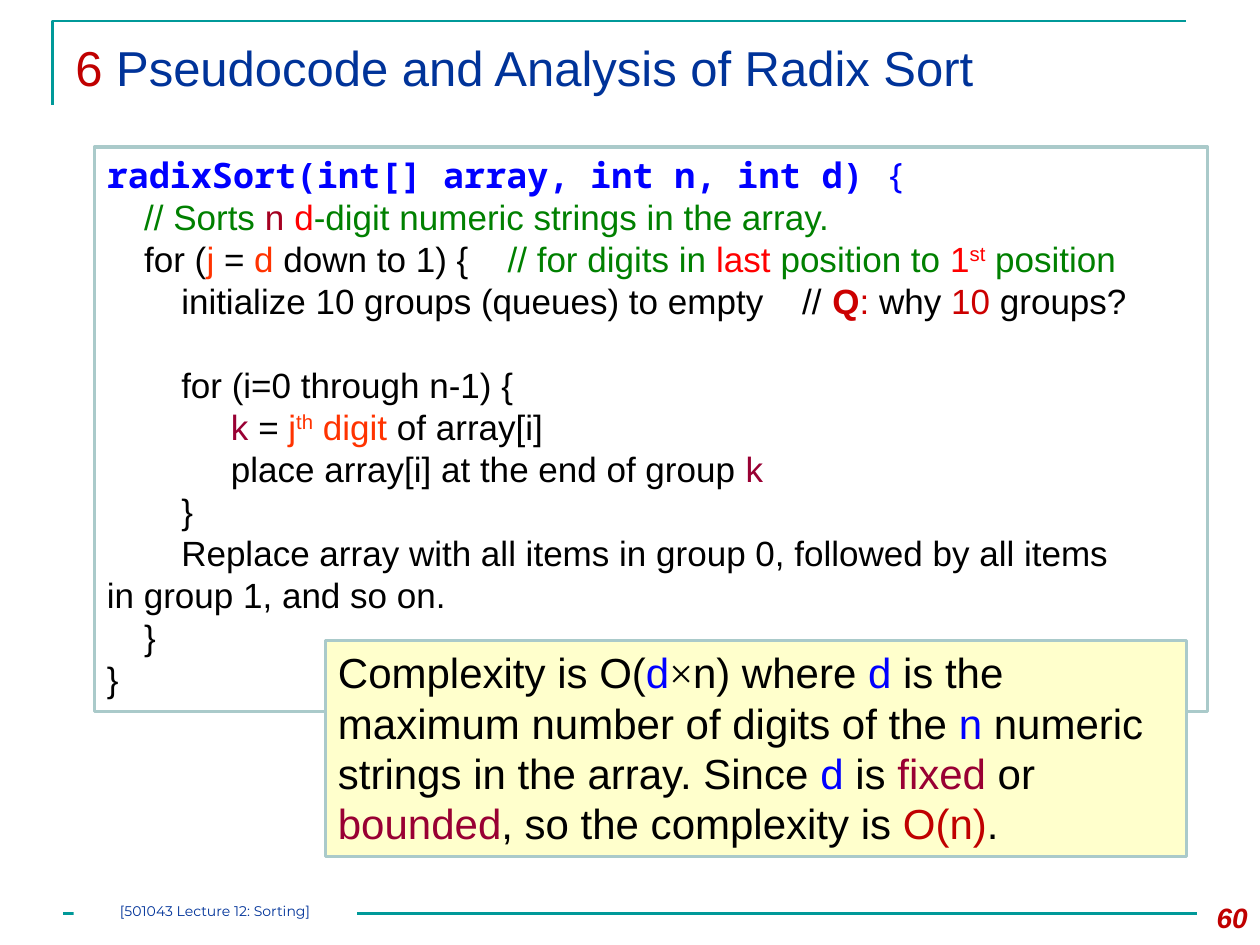
from lxml.etree import SubElement
from pptx import Presentation
from pptx.dml.color import RGBColor
from pptx.enum.shapes import MSO_CONNECTOR, MSO_SHAPE
from pptx.enum.text import MSO_ANCHOR, PP_ALIGN
from pptx.oxml.ns import qn
from pptx.util import Pt

COLORS = {
    "black": "000000", "white": "FFFFFF", "cream": "FFFFCC", "teal": "009999",
    "border": "AACACA", "navy": "003399", "blue": "0000FF", "green": "008000",
    "brick": "C00000", "crimson": "CC0000", "maroon": "A50021", "wine": "990033",
    "red": "FF0000", "orange": "FF3300",
}

TITLE = [("6 ", "brick"), ("Pseudocode and Analysis of Radix Sort", "navy")]
PAGE_NUMBER = [("60", "brick", "bold italic")]
FOOTER = [("[501043 Lecture 12: Sorting]", "navy")]
CODE = [
    [("radixSort(int[] array, int n, int d) ", "blue", "bold mono"), ("{", "blue", "mono")],
    [("\t// Sorts ", "green"), ("n ", "maroon"), ("d", "red"),
     ("-digit numeric strings in the array.", "green")],
    [("\tfor (", "black"), ("j ", "orange"), ("= ", "black"), ("d", "orange"),
     (" down to 1) {    ", "black"), ("// for digits in ", "green"), ("last ", "red"),
     ("position to ", "green"), ("1", "red"), ("st", "red", "super"), (" position", "green")],
    [("\t\tinitialize 10 groups (queues) to empty    // ", "black"), ("Q", "crimson", "bold"),
     (":", "crimson"), (" why ", "black"), ("10", "crimson"), (" groups?", "black")],
    [("\t\tfor (i=0 through n-1) {", "black")],
    [("\t\t\tk ", "wine"), ("= ", "black"), ("j", "orange"), ("th", "orange", "super"),
     (" digit", "orange"), (" of array[i]", "black")],
    [("\t\t\tplace array[i] at the end of group ", "black"), ("k", "wine")],
    [("\t\t}", "black")],
    [("\t\tReplace array with all items in group 0, followed by all items "
      "\t\tin group 1, and so on.", "black")],
    [("\t}", "black")],
    [("}", "black")],
]
INNER_LOOP = 4
COMPLEXITY = [
    ("Complexity is O(", "black"), ("d", "blue"), ("×", "black", "serif"),
    ("n) where ", "black"), ("d", "blue"),
    (" is the maximum number of digits of the ", "black"), ("n", "blue"),
    (" numeric strings in the array. Since ", "black"), ("d", "blue"), (" is ", "black"),
    ("fixed", "wine"), (" or ", "black"), ("bounded", "wine"),
    (", so the complexity is ", "black"), ("O(n)", "brick"), (".", "black"),
]
TAB_STOPS = [21.3, 42.5, 70.9, 92.1, 113.4]
FONTS = {"mono": "Noto Sans Mono", "serif": "Times New Roman"}


def color(name):
    return RGBColor.from_string(COLORS[name])


def draw_line(line, width, name):
    line.color.rgb = color(name)
    line.width = Pt(width)


def add_panel(page, bounds, fill, border=None):
    panel = page.shapes.add_shape(MSO_SHAPE.RECTANGLE, *map(Pt, bounds))
    panel.shadow.inherit = False
    panel.fill.solid()
    panel.fill.fore_color.rgb = color(fill)
    if border:
        draw_line(panel.line, 2, border)
    else:
        panel.line.fill.background()
    return panel


def write(box, lines, size, font="Arial", align=PP_ALIGN.LEFT, tabs=()):
    frame = box.text_frame
    frame.word_wrap = True
    frame.vertical_anchor = MSO_ANCHOR.TOP
    for index, line in enumerate(lines):
        para = frame.paragraphs[0] if index == 0 else frame.add_paragraph()
        if tabs:
            tab_list = SubElement(para._p.get_or_add_pPr(), qn("a:tabLst"))
            for stop in tabs:
                SubElement(tab_list, qn("a:tab"), pos=str(int(Pt(stop))), algn="l")
        para.alignment = align
        for text, name, *flags in line:
            style = " ".join(flags).split()
            span = para.add_run()
            span.text = text
            span.font.size = Pt(size)
            span.font.name = next((FONTS[flag] for flag in style if flag in FONTS), font)
            span.font.color.rgb = color(name)
            span.font.bold = "bold" in style
            span.font.italic = "italic" in style
            if "super" in style:
                span._r.get_or_add_rPr().set("baseline", "30000")
    return frame


def main():
    deck = Presentation()
    deck.slide_width, deck.slide_height = Pt(720), Pt(540)
    page = deck.slides.add_slide(deck.slide_layouts[6])

    outline = page.shapes.build_freeform(Pt(30), Pt(60))
    outline.add_line_segments([(Pt(30), Pt(12)), (Pt(678), Pt(12))], close=False)
    corner = outline.convert_to_shape()
    corner.shadow.inherit = False
    corner.fill.background()
    draw_line(corner.line, 1.5, "teal")

    rule = page.shapes.add_connector(MSO_CONNECTOR.STRAIGHT, Pt(36), Pt(522), Pt(684), Pt(522))
    SubElement(rule._element.spPr, qn("a:effectLst"))
    draw_line(rule.line, 1.5, "teal")

    title = page.shapes.add_textbox(Pt(36), Pt(18), Pt(648), Pt(72))
    write(title, [TITLE], 28)
    number = page.shapes.add_textbox(Pt(672), Pt(511), Pt(48), Pt(29))
    write(number, [PAGE_NUMBER], 16, align=PP_ALIGN.RIGHT)

    code = write(add_panel(page, (54, 84, 636, 322.5), "white", "border"), CODE, 20, tabs=TAB_STOPS)
    for para in code.paragraphs[1:]:
        para.line_spacing = Pt(24)
    code.paragraphs[INNER_LOOP].space_before = Pt(24)

    note = write(add_panel(page, (186, 366, 492, 123.6), "cream", "border"), [COMPLEXITY], 24)
    note.paragraphs[0].line_spacing = Pt(28.8)

    footer = write(add_panel(page, (42, 516, 162, 12), "white"), [FOOTER], 8,
                   "Montserrat", PP_ALIGN.CENTER)
    footer.margin_left = footer.margin_right = footer.margin_top = footer.margin_bottom = 0

    deck.save("out.pptx")


if __name__ == "__main__":
    main()
